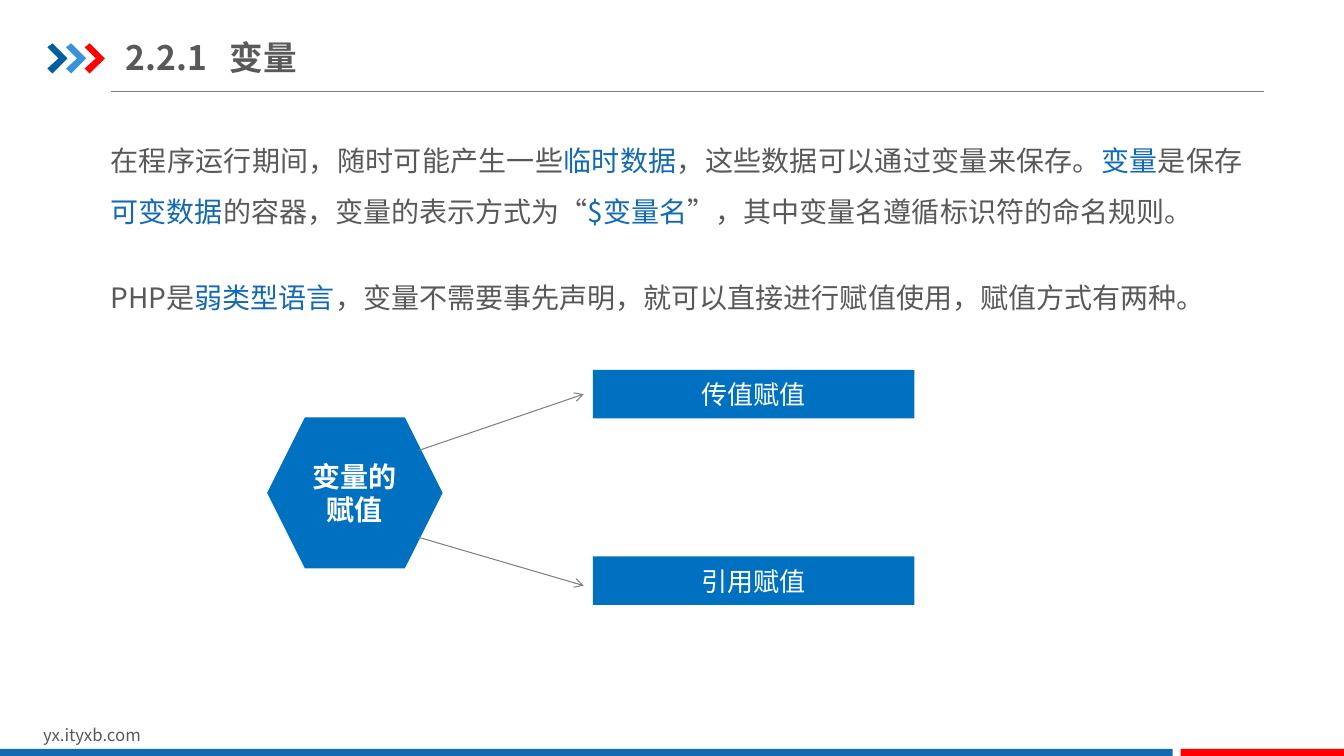
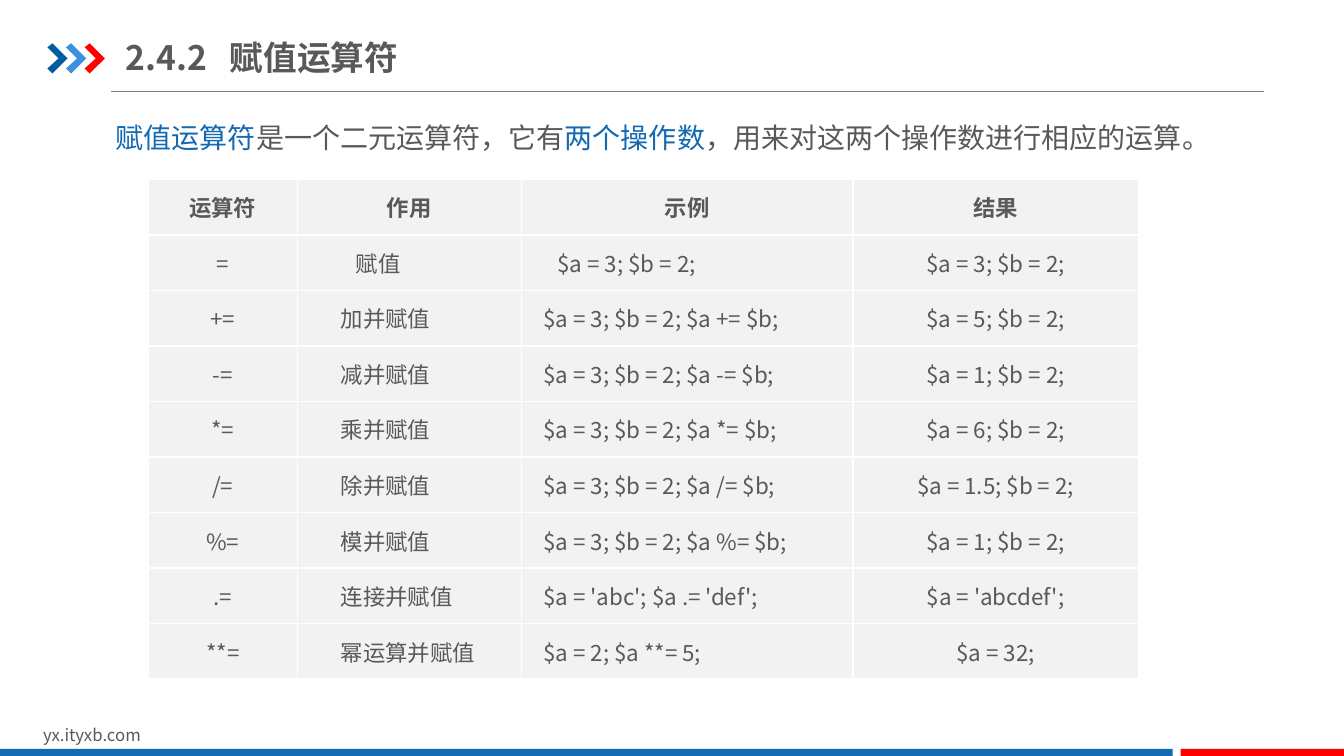
import dataclasses
import typing

import lxml.etree
import pptx
import pptx.dml.color
import pptx.enum.shapes
import pptx.enum.text
import pptx.oxml.ns
import pptx.util

Inches = pptx.util.Inches
Pt = pptx.util.Pt
MSO_SHAPE = pptx.enum.shapes.MSO_SHAPE
ALIGN = pptx.enum.text.PP_ALIGN
ANCHOR = pptx.enum.text.MSO_ANCHOR
GROW = pptx.enum.text.MSO_AUTO_SIZE.SHAPE_TO_FIT_TEXT

FONT = "Noto Sans CJK SC"
GREY, BLUE, RED, WHITE = "595959", "1369B2", "FF0000", "FFFFFF"
RULE, NODE, CELL = "808080", "0070C0", "F2F2F2"


class Box(typing.NamedTuple):
    left: float
    top: float
    width: float
    height: float


@dataclasses.dataclass(frozen=True)
class Run:
    text: str
    colour: str = GREY


@dataclasses.dataclass(frozen=True)
class Style:
    size: float
    bold: bool = False
    align: typing.Any = ALIGN.LEFT
    spacing: float = 1.0
    indent: float = 0
    tab: float = 0


@dataclasses.dataclass(frozen=True)
class Node:
    text: str
    box: Box
    style: Style
    preset: typing.Any = MSO_SHAPE.RECTANGLE


@dataclasses.dataclass(frozen=True)
class Operator:
    sign: str
    role: str
    example: str
    result: str
    role_indent: float = 0.36
    example_indent: float = 0.15


TITLE = Style(24, bold=True, tab=1.03)
FOOTER = Style(12)
BODY = Style(20, spacing=1.5)
BODY_JUSTIFIED = dataclasses.replace(BODY, align=ALIGN.JUSTIFY)
LEAD = Style(20, align=ALIGN.JUSTIFY, indent=0.29)
CHOICE = Style(18.6, align=ALIGN.CENTER)
HUB = Style(20, bold=True, align=ALIGN.CENTER)

CHEVRON = [(0, 0.04), (0.05, 0), (0.2, 0.15), (0.05, 0.3), (0, 0.25), (0.11, 0.15)]
CHEVRON_COLOURS = ["005DA2", "3992DB", RED]
FOOTER_BANDS = [(Box(0, 7.43, 11.63, 0.09), BLUE), (Box(11.71, 7.43, 1.63, 0.09), RED)]

ASSIGNMENT_NODES = [
    Node("传值赋值", Box(5.88, 3.67, 3.19, 0.48), CHOICE),
    Node("变量的赋值", Box(2.65, 4.14, 1.74, 1.5), HUB, MSO_SHAPE.HEXAGON),
    Node("引用赋值", Box(5.88, 5.52, 3.19, 0.48), CHOICE),
]
ARROWS = [((4.15, 4.47), (5.79, 3.91)), ((4.15, 5.33), (5.79, 5.81))]

TABLE_BOX = Box(1.47, 1.78, 9.82, 4.96)
COLUMN_WIDTHS = [1.48, 2.22, 3.29, 2.83]
HEADINGS = ["运算符", "作用", "示例", "结果"]
OPERATORS = [
    Operator("=", "赋值", "$a = 3; $b = 2;", "$a = 3; $b = 2;", 0.51, 0.29),
    Operator("+=", "加并赋值", "$a = 3; $b = 2; $a += $b;", "$a = 5; $b = 2;"),
    Operator("-=", "减并赋值", "$a = 3; $b = 2; $a -= $b;", "$a = 1; $b = 2;"),
    Operator("*=", "乘并赋值", "$a = 3; $b = 2; $a *= $b;", "$a = 6; $b = 2;"),
    Operator("/=", "除并赋值", "$a = 3; $b = 2; $a /= $b;", "$a = 1.5; $b = 2;"),
    Operator("%=", "模并赋值", "$a = 3; $b = 2; $a %= $b;", "$a = 1; $b = 2;"),
    Operator(".=", "连接并赋值", "$a = 'abc'; $a .= 'def';", "$a = 'abcdef';"),
    Operator("**=", "幂运算并赋值", "$a = 2; $a **= 5;", "$a = 32;"),
]


def colour(value: str) -> pptx.dml.color.RGBColor:
    return pptx.dml.color.RGBColor.from_string(value)


def add_xml(parent, tag: str, **attributes: str):
    element = lxml.etree.SubElement(parent, pptx.oxml.ns.qn(tag))
    for name, value in attributes.items():
        element.set(name, value)
    return element


def apply_formats(target, formats: dict) -> None:
    for name, value in formats.items():
        setattr(target, name, value)


def inches(values) -> list:
    return [Inches(value) for value in values]


def paint(shape, fill: str) -> None:
    shape.shadow.inherit = False
    shape.fill.solid()
    shape.fill.fore_color.rgb = colour(fill)
    shape.line.fill.background()


def write(frame, runs: list[Run], style: Style) -> None:
    paragraph = frame.paragraphs[0]
    properties = paragraph._p.get_or_add_pPr()
    if style.indent:
        properties.set("marL", "0")
        properties.set("indent", str(Inches(style.indent)))
    if style.tab:
        stops = add_xml(properties, "a:tabLst")
        add_xml(stops, "a:tab", pos=str(Inches(style.tab)), algn="l")
    apply_formats(paragraph, {"alignment": style.align, "line_spacing": style.spacing})
    for part in runs:
        run = paragraph.add_run()
        run.text = part.text
        apply_formats(run.font, {"size": Pt(style.size), "bold": style.bold, "name": FONT})
        run.font.color.rgb = colour(part.colour)
        add_xml(run._r.get_or_add_rPr(), "a:ea", typeface=FONT)


def add_text(slide, box: Box, runs: list[Run], style: Style, **formats) -> None:
    frame = slide.shapes.add_textbox(*inches(box)).text_frame
    apply_formats(frame, {"word_wrap": True, **formats})
    write(frame, runs, style)


def add_line(slide, start, end, arrow: bool = False) -> None:
    line = slide.shapes.add_connector(
        pptx.enum.shapes.MSO_CONNECTOR.STRAIGHT, *inches((*start, *end))
    )
    line.line.color.rgb = colour(RULE)
    line.line.width = Pt(0.75)
    add_xml(line._element.spPr, "a:effectLst")
    if arrow:
        add_xml(line.line._get_or_add_ln(), "a:tailEnd", type="arrow")


def add_node(slide, node: Node) -> None:
    shape = slide.shapes.add_shape(node.preset, *inches(node.box))
    paint(shape, NODE)
    apply_formats(shape.text_frame, {"word_wrap": True, "vertical_anchor": ANCHOR.MIDDLE})
    write(shape.text_frame, [Run(node.text, WHITE)], node.style)


def add_chevrons(slide) -> None:
    chevrons = slide.shapes.add_group_shape().shapes
    for index, fill in enumerate(CHEVRON_COLOURS):
        left = 0.47 + index * 0.185
        points = [(Inches(left + x), Inches(0.43 + y)) for x, y in CHEVRON]
        outline = chevrons.build_freeform(*points[0])
        outline.add_line_segments(points[1:], close=True)
        paint(outline.convert_to_shape(), fill)


def add_page(deck, number: str, heading: str):
    slide = deck.slides.add_slide(deck.slide_layouts[6])
    add_line(slide, (1.1, 0.91), (12.54, 0.91))
    add_chevrons(slide)
    add_text(slide, Box(0.33, 7.14, 3.18, 0.3), [Run("yx.ityxb.com")], FOOTER, auto_size=GROW)
    for box, fill in FOOTER_BANDS:
        paint(slide.shapes.add_shape(MSO_SHAPE.RECTANGLE, *inches(box)), fill)
    add_text(
        slide, Box(1.25, 0.29, 4.26, 0.55), [Run(f"{number}\t{heading}")], TITLE,
        vertical_anchor=ANCHOR.MIDDLE, margin_left=0, margin_right=0,
        margin_top=Inches(0.07), margin_bottom=Inches(0.07),
    )
    return slide


def fill_cell(cell, text: str, style: Style) -> None:
    apply_formats(cell, {
        "vertical_anchor": ANCHOR.MIDDLE,
        "margin_left": Inches(0.07),
        "margin_right": Inches(0.07),
        "margin_top": 0,
        "margin_bottom": 0,
    })
    properties = cell._tc.get_or_add_tcPr()
    for side in ("a:lnL", "a:lnR", "a:lnT", "a:lnB"):
        border = add_xml(properties, side, w=str(Pt(1)))
        add_xml(add_xml(border, "a:solidFill"), "a:srgbClr", val=WHITE)
    cell.fill.solid()
    cell.fill.fore_color.rgb = colour(CELL)
    write(cell.text_frame, [Run(text)], style)


def add_operator_table(slide) -> None:
    row_count = len(OPERATORS) + 1
    table = slide.shapes.add_table(row_count, len(HEADINGS), *inches(TABLE_BOX)).table
    apply_formats(table, {"first_row": False, "horz_banding": False})
    for column, width in zip(table.columns, COLUMN_WIDTHS):
        column.width = Inches(width)
    for row in table.rows:
        row.height = Inches(TABLE_BOX.height / row_count)
    centred = Style(16, align=ALIGN.CENTER)
    for column, heading in enumerate(HEADINGS):
        fill_cell(table.cell(0, column), heading, dataclasses.replace(centred, bold=True))
    for row, operator in enumerate(OPERATORS, start=1):
        entries = [
            (operator.sign, centred),
            (operator.role, Style(16, align=ALIGN.JUSTIFY, indent=operator.role_indent)),
            (operator.example, Style(16, indent=operator.example_indent)),
            (operator.result, centred),
        ]
        for column, (text, style) in enumerate(entries):
            fill_cell(table.cell(row, column), text, style)


def add_variables_page(deck) -> None:
    slide = add_page(deck, "2.2.1", "变量")
    add_text(slide, Box(1, 1.21, 11.42, 1.11), [
        Run("在程序运行期间，随时可能产生一些"),
        Run("临时数据", BLUE),
        Run("，这些数据可以通过变量来保存。"),
        Run("变量", BLUE),
        Run("是保存"),
        Run("可变数据", BLUE),
        Run("的容器，变量的表示方式为“"),
        Run("$变量名", BLUE),
        Run("”，其中变量名遵循标识符的命名规则。"),
    ], BODY_JUSTIFIED, auto_size=GROW)
    add_text(slide, Box(1, 2.57, 11.1, 0.61), [
        Run("PHP是"),
        Run("弱类型语言", BLUE),
        Run("，变量不需要事先声明，就可以直接进行赋值使用，赋值方式有两种。"),
    ], BODY, auto_size=GROW)
    for node in ASSIGNMENT_NODES:
        add_node(slide, node)
    for start, end in ARROWS:
        add_line(slide, start, end, arrow=True)


def add_operators_page(deck) -> None:
    slide = add_page(deck, "2.4.2", "赋值运算符")
    add_text(slide, Box(0.76, 1.15, 11.42, 0.44), [
        Run("赋值运算符", BLUE),
        Run("是一个二元运算符，它有"),
        Run("两个操作数", BLUE),
        Run("，用来对这两个操作数进行相应的运算。"),
    ], LEAD, auto_size=GROW)
    add_operator_table(slide)


def main() -> None:
    deck = pptx.Presentation()
    apply_formats(deck, {"slide_width": Inches(13.33), "slide_height": Inches(7.5)})
    add_variables_page(deck)
    add_operators_page(deck)
    deck.save("out.pptx")


if __name__ == "__main__":
    main()
